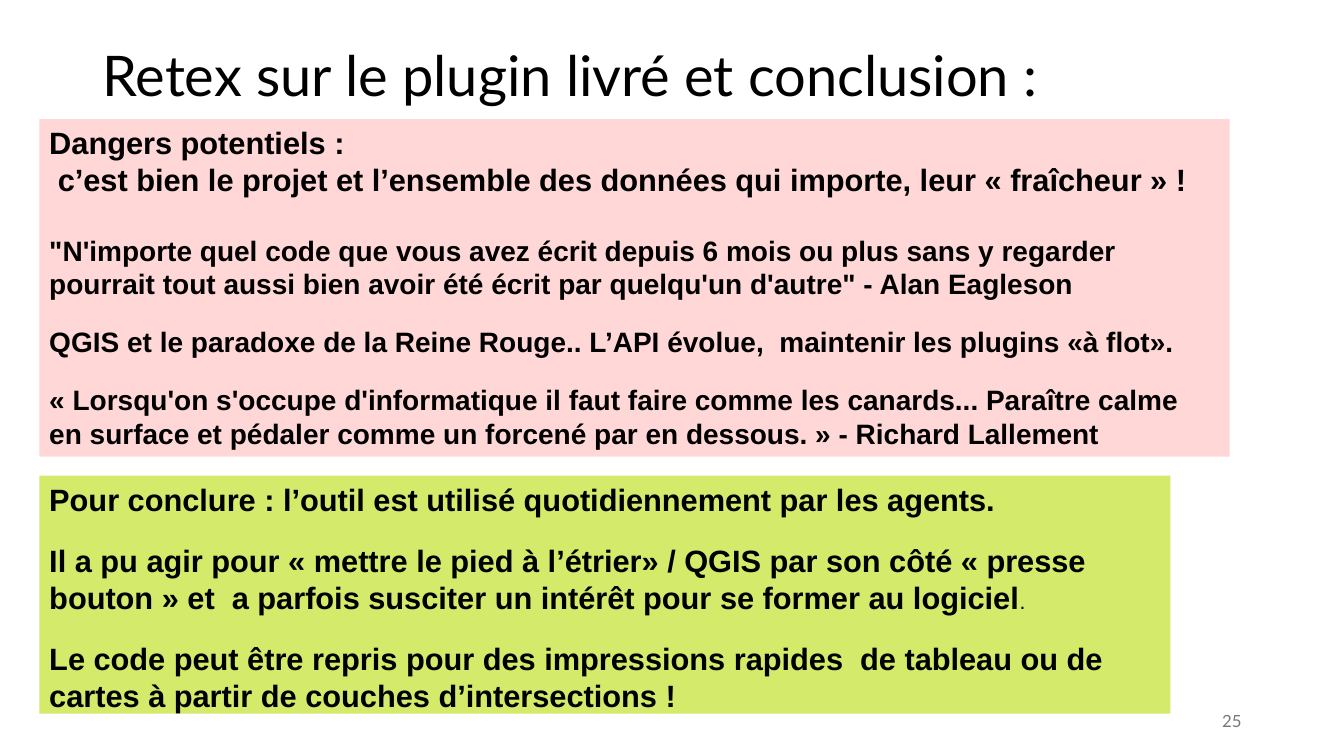
from pptx import Presentation
from pptx.dml.color import RGBColor
from pptx.enum.shapes import MSO_SHAPE as Shape
from pptx.enum.text import MSO_ANCHOR as Anchor, MSO_AUTO_SIZE as Fit, PP_ALIGN as Align
from pptx.util import Pt

BLACK = "000000"
LEFT = 28.08
DANGERS = [
    (0, [("Dangers potentiels :", 22, True)]),
    (0, [(" c’est bien le projet et l’ensemble des données qui importe, "
          "leur « fraîcheur » !", 22, True)]),
    (25.3, [("\"N'importe quel code que vous avez écrit depuis 6 mois ou plus sans y "
             "regarder pourrait tout aussi bien avoir été écrit par quelqu'un d'autre\" "
             "- Alan Eagleson", 20, True)]),
    (17.25, [("QGIS et le paradoxe de la Reine Rouge.. L’API évolue,  maintenir les "
              "plugins «à flot».", 20, True)]),
    (17.25, [("« Lorsqu'on s'occupe d'informatique il faut faire comme les canards... "
              "Paraître calme en surface et pédaler comme un forcené par en dessous. » "
              "- Richard Lallement", 20, True)]),
]
CLOSING = [
    (0, [("Pour conclure : l’outil est utilisé quotidiennement par les agents.", 22, True)]),
    (17.25, [("Il a pu agir pour « mettre le pied à l’étrier» / QGIS par son côté "
              "« presse bouton » et  a parfois susciter un intérêt pour se former au "
              "logiciel", 22, True), (".", 15, False)]),
    (17.25, [("Le code peut être repris pour des impressions rapides  de tableau ou de "
              "cartes à partir de couches d’intersections !", 22, True)]),
]


def color(code):
    return RGBColor.from_string(code)


def add_run(para, text, size, face, tint, bold=False):
    run = para.add_run()
    run.text = text
    font = run.font
    font.size, font.name, font.bold = Pt(size), face, bold
    font.color.rgb = color(tint)


def set_frame(frame, anchor):
    frame.word_wrap = True
    frame.auto_size = Fit.NONE
    frame.vertical_anchor = anchor
    frame.margin_left = frame.margin_right = Pt(7.2)
    frame.margin_top = frame.margin_bottom = Pt(3.6)


def add_title(slide, text):
    title = slide.shapes.title
    title.left, title.top, title.width, title.height = Pt(66), Pt(28.8), Pt(828), Pt(85)
    frame = title.text_frame
    set_frame(frame, Anchor.TOP)
    frame.margin_top = Pt(5.8)
    para = frame.paragraphs[0]
    para.alignment = Align.LEFT
    para.line_spacing = 0.9
    add_run(para, text, 40, "Lato", BLACK)


def add_panel(slide, top, width, height, fill, paras):
    panel = slide.shapes.add_shape(
        Shape.RECTANGLE, Pt(LEFT), Pt(top), Pt(width), Pt(height))
    panel.shadow.inherit = False
    panel.fill.solid()
    panel.fill.fore_color.rgb = color(fill)
    panel.line.fill.background()
    frame = panel.text_frame
    set_frame(frame, Anchor.TOP)
    for index, (gap, runs) in enumerate(paras):
        para = frame.add_paragraph() if index else frame.paragraphs[0]
        para.alignment = Align.LEFT
        para.space_before = Pt(gap)
        for text, size, bold in runs:
            add_run(para, text, size, "Arial", BLACK, bold)


def add_number(slide, text):
    box = slide.shapes.add_textbox(Pt(678), Pt(500.4), Pt(216), Pt(28.8))
    set_frame(box.text_frame, Anchor.MIDDLE)
    para = box.text_frame.paragraphs[0]
    para.alignment = Align.RIGHT
    add_run(para, text, 12, "Lato", "787878")


def main():
    deck = Presentation()
    deck.slide_width, deck.slide_height = Pt(960), Pt(540)
    slide = deck.slides.add_slide(deck.slide_layouts[5])
    add_title(slide, "Retex sur le plugin livré et conclusion :")
    add_number(slide, "25")
    add_panel(slide, 85, 850.3, 241.2, "FFD7D7", DANGERS)
    add_panel(slide, 339.85, 807.85, 169.9, "D4EA6B", CLOSING)
    deck.save("out.pptx")


if __name__ == "__main__":
    main()
